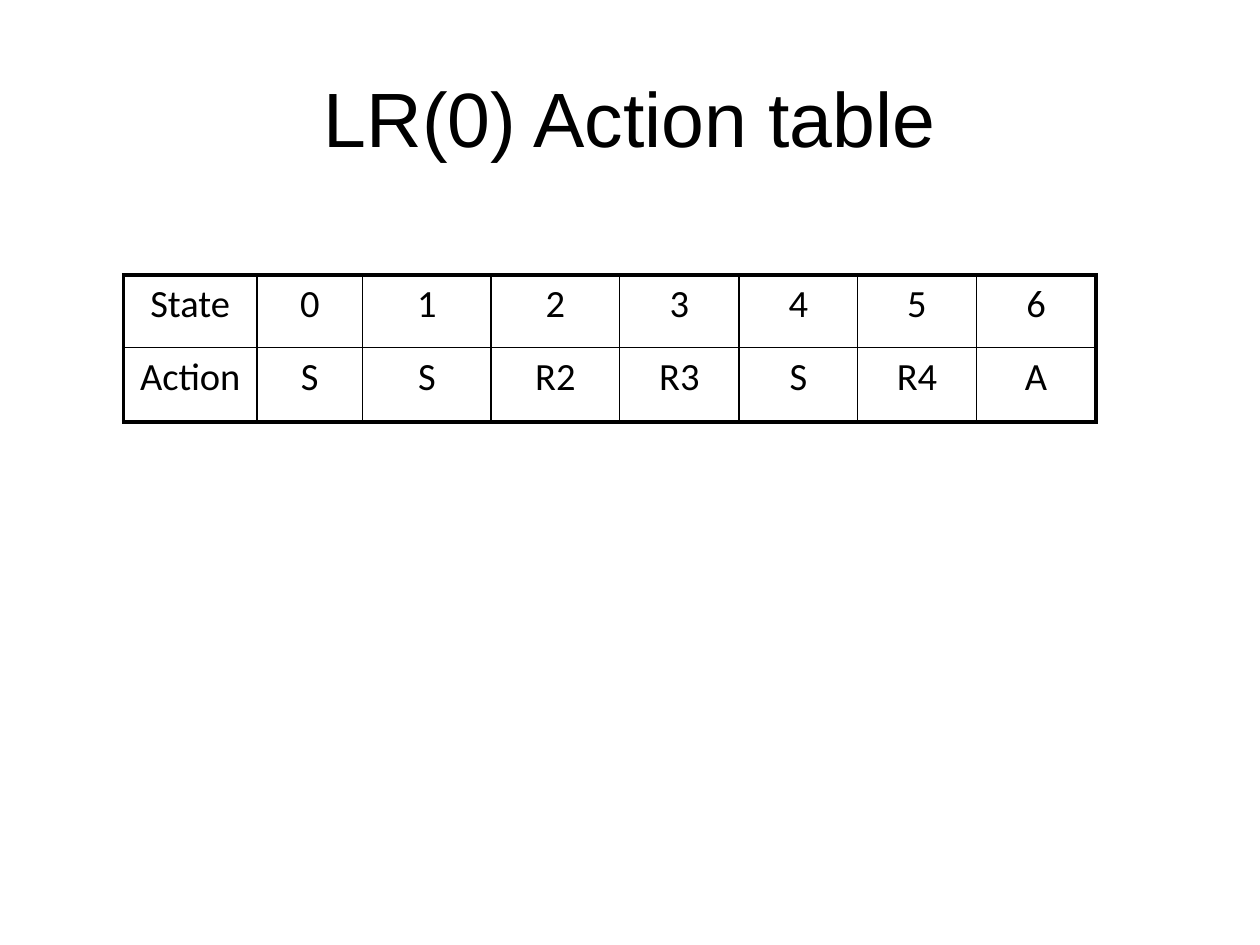
from lxml.etree import SubElement
from pptx import Presentation
from pptx.dml.color import RGBColor
from pptx.enum.text import MSO_ANCHOR as Anchor, PP_ALIGN as Align
from pptx.oxml.ns import qn
from pptx.util import Cm, Pt


def format_paragraph(paragraph, name, size, color):
    paragraph.alignment = Align.CENTER
    for attribute, value in {"name": name, "size": Pt(size)}.items():
        setattr(paragraph.font, attribute, value)
    paragraph.font.color.rgb = RGBColor.from_string(color)


def add_border(cell, side, width, color):
    properties = cell._tc.get_or_add_tcPr()
    line = SubElement(properties, qn(f"a:ln{side}"), w=str(Pt(width)))
    fill = SubElement(line, qn("a:solidFill"))
    SubElement(fill, qn("a:srgbClr"), val=color)


BLACK = "000000"
THIN, THICK = 1, 2.25
ROWS = [
    ["State", "0", "1", "2", "3", "4", "5", "6"],
    ["Action", "S", "S", "R2", "R3", "S", "R4", "A"],
]
COLUMN_WIDTHS = [2.69, 2.13, 2.59, 2.59, 2.41, 2.39, 2.39, 2.41]
ROW_HEIGHTS = [1.47, 1.5]

presentation = Presentation()
presentation.slide_width, presentation.slide_height = Cm(25.4), Cm(19.05)
slide = presentation.slides.add_slide(presentation.slide_layouts[5])

title = slide.shapes.title
title_box = {"left": 1.27, "top": 0.76, "width": 22.86, "height": 3.18}
for attribute, value in title_box.items():
    setattr(title, attribute, Cm(value))
title.text_frame.text = "LR(0) Action table"
title.text_frame.vertical_anchor = Anchor.MIDDLE
format_paragraph(title.text_frame.paragraphs[0], "Arial", 44, BLACK)

table = slide.shapes.add_table(
    len(ROWS), len(COLUMN_WIDTHS), Cm(2.49), Cm(5.54),
    Cm(sum(COLUMN_WIDTHS)), Cm(sum(ROW_HEIGHTS)),
).table
table.first_row = table.horz_banding = False
for column, width in zip(table.columns, COLUMN_WIDTHS):
    column.width = Cm(width)
for row, height in zip(table.rows, ROW_HEIGHTS):
    row.height = Cm(height)

last_row, last_column = len(ROWS) - 1, len(COLUMN_WIDTHS) - 1
for row_index, texts in enumerate(ROWS):
    for column_index, text in enumerate(texts):
        cell = table.cell(row_index, column_index)
        cell.text = text
        paragraph = cell.text_frame.paragraphs[0]
        format_paragraph(paragraph, "Calibri", 22, BLACK)
        paragraph.space_before = Pt(0)
        spacing = paragraph._p.pPr.find(qn("a:spcBef"))
        spacing.remove(spacing[0])
        SubElement(spacing, qn("a:spcPct"), val="20000")
        outer_sides = {
            "L": column_index == 0,
            "R": column_index == last_column,
            "T": row_index == 0,
            "B": row_index == last_row,
        }
        for side, is_outer in outer_sides.items():
            add_border(cell, side, THICK if is_outer else THIN, BLACK)
        cell.fill.background()

presentation.save("out.pptx")
